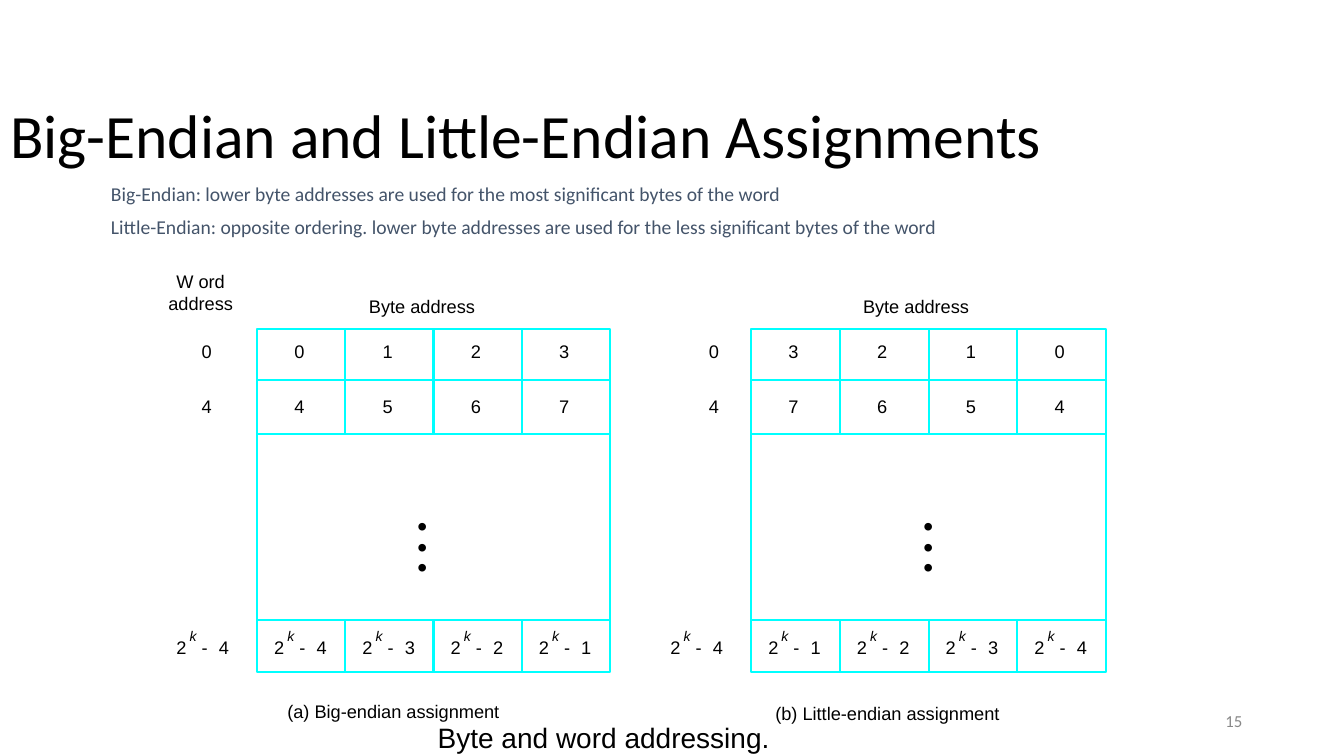
import pptx
import pptx.dml.color
import pptx.enum.shapes
import pptx.enum.text
import pptx.oxml.ns
import pptx.oxml.xmlchemy
import pptx.util
from pptx.util import Inches

BLACK = pptx.dml.color.RGBColor(0x00, 0x00, 0x00)
CYAN = pptx.dml.color.RGBColor(0x00, 0xFF, 0xFF)
SLATE = pptx.dml.color.RGBColor(0x44, 0x54, 0x6A)
GREY = pptx.dml.color.RGBColor(0x88, 0x88, 0x88)

GRID_TOP, GRID_BOTTOM = 3.26, 6.67
ROW_LINES = (3.77, 4.31, 6.15)
COLUMN_BANDS = ((GRID_TOP, 4.31), (6.15, GRID_BOTTOM))
ROW_TEXT_TOPS = (3.38, 3.92)
LAST_ROW_TEXT_TOP = 6.31
COLUMNS = 4
DIGIT_WIDTH = 0.1


def place(shape, left, top, width, height):
    shape.left, shape.top = Inches(left), Inches(top)
    shape.width, shape.height = Inches(width), Inches(height)


def set_font(paragraph, size, name="Arial", color=BLACK, italic=None):
    font = paragraph.font
    font.size = pptx.util.Pt(size)
    font.name = name
    font.color.rgb = color
    font.italic = italic


def add_label(slide, text, left, top, width, height=0.22, size=13, italic=None):
    """Add one line of text in a box without margins."""
    box = slide.shapes.add_textbox(
        Inches(left), Inches(top), Inches(width), Inches(height))
    frame = box.text_frame
    frame.margin_left = frame.margin_right = 0
    frame.margin_top = frame.margin_bottom = 0
    frame.text = text
    set_font(frame.paragraphs[0], size, italic=italic)


def add_power(slide, left, offset):
    """Add the address 2^k - offset, with a raised k."""
    top = LAST_ROW_TEXT_TOP
    add_label(slide, "2", left, top, DIGIT_WIDTH)
    add_label(slide, "k", left + 0.13, top - 0.08, 0.07, 0.17, size=10, italic=True)
    add_label(slide, "-", left + 0.25, top, 0.06)
    add_label(slide, str(offset), left + 0.42, top, DIGIT_WIDTH)


def add_line(slide, x1, y1, x2, y2):
    line = slide.shapes.add_connector(
        pptx.enum.shapes.MSO_CONNECTOR.STRAIGHT,
        Inches(x1), Inches(y1), Inches(x2), Inches(y2))
    line.line.color.rgb = CYAN
    line.line.width = pptx.util.Pt(1.5)
    properties = line.element.spPr
    properties.append(properties.makeelement(pptx.oxml.ns.qn("a:effectLst"), {}))


def add_grid(slide, left, width):
    frame = slide.shapes.add_shape(
        pptx.enum.shapes.MSO_SHAPE.RECTANGLE, Inches(left), Inches(GRID_TOP),
        Inches(width), Inches(GRID_BOTTOM - GRID_TOP))
    frame.shadow.inherit = False
    frame.fill.background()
    frame.line.color.rgb = CYAN
    frame.line.width = pptx.util.Pt(1.5)
    for y in ROW_LINES:
        add_line(slide, left, y, left + width, y)
    for column in range(1, COLUMNS):
        x = left + column * width / COLUMNS
        for top, bottom in COLUMN_BANDS:
            add_line(slide, x, top, x, bottom)


def add_dots(slide, left):
    """Add a vertical ellipsis for the rows left out."""
    box = slide.shapes.add_textbox(
        Inches(left), Inches(4.75), Inches(0.39), Inches(1.11))
    frame = box.text_frame
    frame.margin_top = Inches(0.43)
    frame.text = "\n".join("•" * 3)
    for paragraph in frame.paragraphs:
        set_font(paragraph, 20)
        paragraph.line_spacing = pptx.util.Pt(14.6)


def add_memory(slide, left, width, address_left, dots_left, rows, offsets):
    """Add one memory map with its word and byte addresses."""
    add_grid(slide, left, width)
    add_label(slide, "Byte address", left + 1.11, 2.93, 1.07)
    pitch = width / COLUMNS
    for word, (top, row) in enumerate(zip(ROW_TEXT_TOPS, rows)):
        add_label(slide, str(word * COLUMNS), address_left, top, DIGIT_WIDTH)
        for column, byte in enumerate(row):
            add_label(slide, str(byte), left + 0.37 + column * pitch, top, DIGIT_WIDTH)
    add_power(slide, left - 0.8, COLUMNS)
    for column, offset in enumerate(offsets):
        add_power(slide, left + 0.17 + column * pitch, offset)
    add_dots(slide, dots_left)


def fill_title(slide):
    title = slide.shapes.title
    place(title, 0, 0.75, 12.78, 1.25)
    frame = title.text_frame
    frame.text = "Big-Endian and Little-Endian Assignments"
    frame.vertical_anchor = pptx.enum.text.MSO_ANCHOR.MIDDLE
    paragraph = frame.paragraphs[0]
    paragraph.alignment = pptx.enum.text.PP_ALIGN.LEFT
    paragraph.line_spacing = 0.9
    set_font(paragraph, 44, "Calibri")


def fill_definitions(slide):
    body = slide.placeholders[1]
    place(body, 1, 1.75, 10.67, 0.69)
    frame = body.text_frame
    frame.text = (
        "Big-Endian: lower byte addresses are used for the most significant "
        "bytes of the word\n"
        "Little-Endian: opposite ordering. lower byte addresses are used for "
        "the less significant bytes of the word")
    frame.auto_size = pptx.enum.text.MSO_AUTO_SIZE.NONE
    for paragraph, space in zip(frame.paragraphs, (0, 7)):
        set_font(paragraph, 14, "Calibri", SLATE)
        paragraph.space_before = pptx.util.Pt(space)
        # Plain lines: no bullet and no indent
        properties = paragraph._p.get_or_add_pPr()
        properties.set("marL", "0")
        properties.set("indent", "0")
        bullet = properties.makeelement(pptx.oxml.ns.qn("a:buNone"), {})
        properties.insert_element_before(bullet, "a:tabLst", "a:defRPr", "a:extLst")


def add_slide_number(slide):
    box = slide.shapes.add_textbox(
        Inches(9.42), Inches(6.95), Inches(3), Inches(0.4))
    frame = box.text_frame
    frame.word_wrap = True
    frame.vertical_anchor = pptx.enum.text.MSO_ANCHOR.MIDDLE
    frame.text = "15"
    frame.paragraphs[0].alignment = pptx.enum.text.PP_ALIGN.RIGHT
    set_font(frame.paragraphs[0], 12, "Calibri", GREY)


def main():
    presentation = pptx.Presentation()
    presentation.slide_width = Inches(13.33)
    presentation.slide_height = Inches(7.5)
    slide = presentation.slides.add_slide(presentation.slide_layouts[1])

    fill_title(slide)
    fill_definitions(slide)

    # Heading of the word addresses
    add_label(slide, "W", 1.75, 2.68, 0.17)
    add_label(slide, "ord", 1.97, 2.68, 0.26)
    add_label(slide, "address", 1.67, 2.9, 0.65)

    # Memory maps
    add_memory(slide, 2.55, 3.5, 2, 4.04,
               rows=((0, 1, 2, 3), (4, 5, 6, 7)), offsets=(4, 3, 2, 1))
    add_memory(slide, 7.45, 3.52, 7.03, 9.06,
               rows=((3, 2, 1, 0), (7, 6, 5, 4)), offsets=(1, 2, 3, 4))

    # Captions
    add_label(slide, "(a) Big-endian assignment", 2.85, 6.95, 2.13)
    add_label(slide, "(b) Little-endian assignment", 7.69, 6.97, 2.26)
    add_label(slide, "Byte and word addressing.", 4.34, 7.15, 3.32, 0.34, size=20)

    add_slide_number(slide)
    presentation.save("out.pptx")


main()
